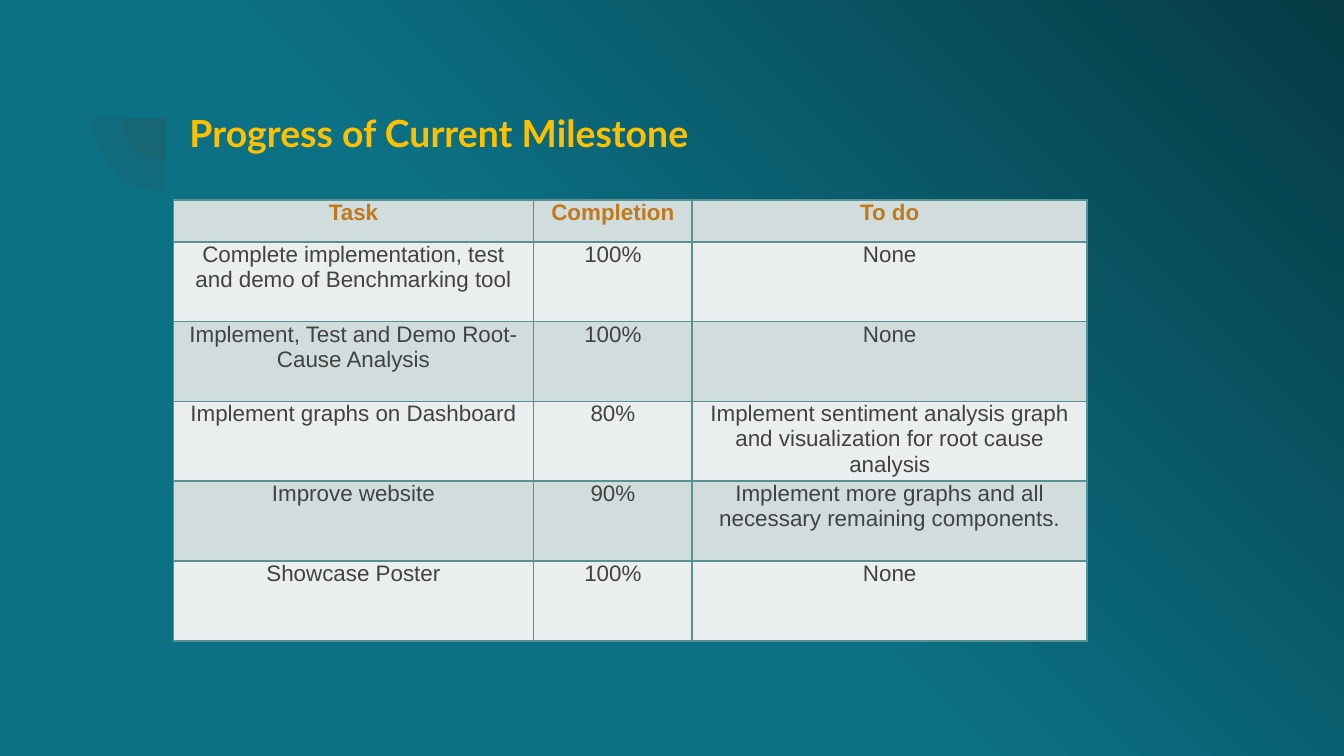
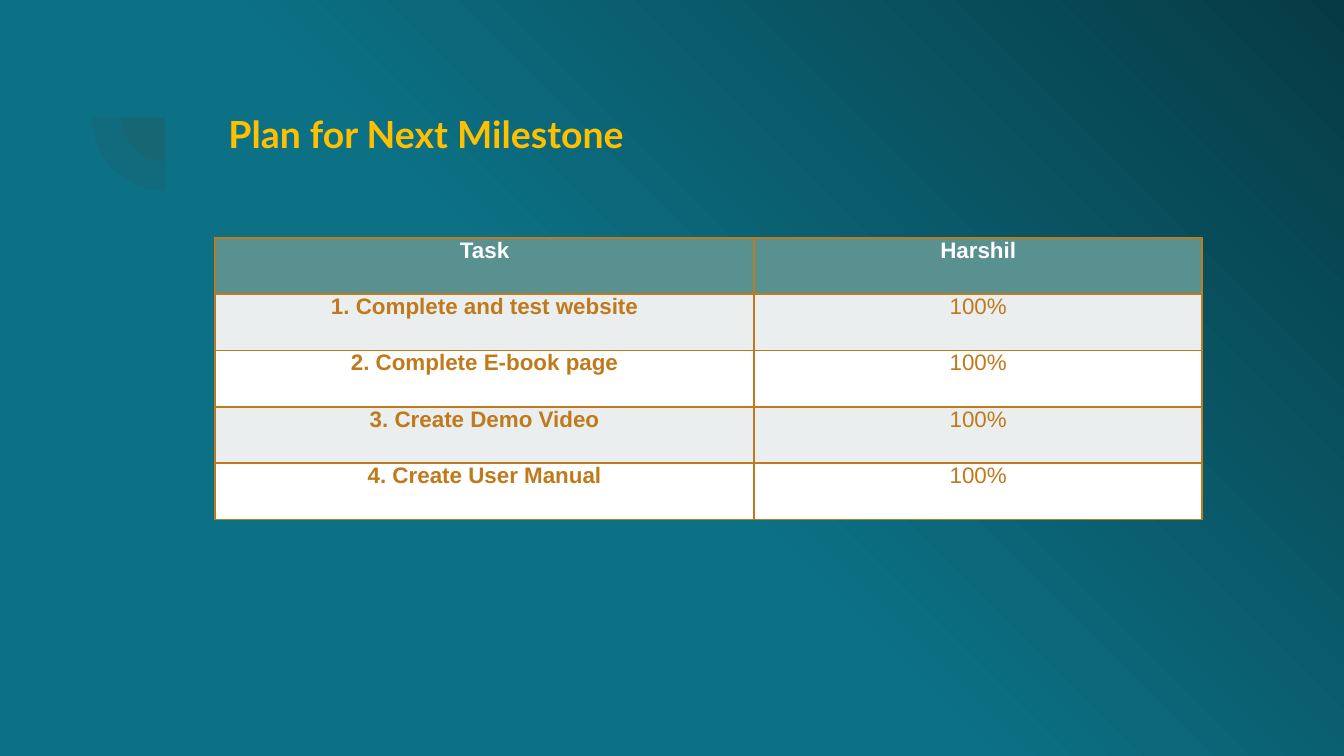
from dataclasses import dataclass

from lxml import etree
from pptx import Presentation
from pptx.dml.color import RGBColor
from pptx.enum.shapes import MSO_SHAPE
from pptx.enum.text import MSO_ANCHOR, MSO_AUTO_SIZE, PP_ALIGN
from pptx.oxml.ns import qn
from pptx.util import Pt

PIE = MSO_SHAPE.PIE
TOP = MSO_ANCHOR.TOP
NO_AUTOFIT = MSO_AUTO_SIZE.NONE
LEFT, CENTER = PP_ALIGN.LEFT, PP_ALIGN.CENTER

TEAL, DEEP_TEAL = "0C7185", "063B45"
GOLD, OCHRE, CHARCOAL, WHITE = "FFC000", "C0791B", "424242", "FFFFFF"
SAGE, MIST, PALE = "599191", "D1DCDC", "EAEEEE"
TITLE_FONT, TABLE_FONT = "Lato", "Arial"
TITLE_ONLY = 5
CORNER_CENTER = (88.6, 63)
CORNER_DIAMETERS = (46.8, 78.5)


@dataclass(frozen=True)
class TitleBox:
    text: str
    left: float
    top: float
    width: float
    height: float
    inset: float


@dataclass(frozen=True)
class TaskTable:
    left: float
    top: float
    columns: tuple[float, ...]
    header_height: float
    row_height: float
    header_fill: str
    header_color: str
    bands: tuple[str, str]
    body_color: str
    border: str
    bold_tasks: bool
    rows: tuple[tuple[str, ...], ...]


@dataclass(frozen=True)
class Milestone:
    title: TitleBox
    tasks: TaskTable


MILESTONES = (
    Milestone(
        TitleBox("Progress of Current Milestone", 94.3, 51.8, 553.7, 53.3, 7.2),
        TaskTable(
            92.9, 107.2, (193, 85, 211.6), 22.4, 42.75,
            MIST, OCHRE, (PALE, MIST), CHARCOAL, SAGE, False,
            (
                ("Task", "Completion", "To do"),
                ("Complete implementation, test and demo of Benchmarking tool",
                 "100%", "None"),
                ("Implement, Test and Demo Root-Cause Analysis", "100%", "None"),
                ("Implement graphs on Dashboard", "80%",
                 "Implement sentiment analysis graph and visualization "
                 "for root cause analysis"),
                ("Improve website", "90%",
                 "Implement more graphs and all necessary remaining components."),
                ("Showcase Poster", "100%", "None"),
            ),
        ),
    ),
    Milestone(
        TitleBox("Plan for Next Milestone", 115.2, 56.2, 336.2, 31.7, 3.6),
        TaskTable(
            115.2, 127.4, (288.9, 240), 30.2, 30.2,
            SAGE, WHITE, (PALE, WHITE), OCHRE, OCHRE, True,
            (
                ("Task", "Harshil"),
                ("1. Complete and test website", "100%"),
                ("2. Complete E-book page", "100%"),
                ("3. Create Demo Video", "100%"),
                ("4. Create User Manual", "100%"),
            ),
        ),
    ),
)


def rgb(color: str) -> RGBColor:
    return RGBColor.from_string(color)


def add_color(parent, color: str, alpha: int = 100) -> None:
    """Append a colour, with its opacity in percent, to an XML element."""
    srgb = etree.SubElement(parent, qn("a:srgbClr"), val=color)
    if alpha < 100:
        etree.SubElement(srgb, qn("a:alpha"), val=str(alpha * 1000))


def add_run(paragraph, text: str, font: str, size: float, color: str,
            bold: bool) -> None:
    run = paragraph.add_run()
    run.text = text
    run.font.name = font
    run.font.size = Pt(size)
    run.font.bold = bold
    run.font.color.rgb = rgb(color)


# Shared look: glow from the lower left, and the corner quarter discs
def set_background(master) -> None:
    master.background.fill.gradient()
    gradient = master.element.find(".//" + qn("a:gradFill"))
    for child in list(gradient):
        gradient.remove(child)
    stops = etree.SubElement(gradient, qn("a:gsLst"))
    for position, color, alpha in ((0, TEAL, 85), (46, TEAL, 100),
                                   (100, DEEP_TEAL, 100)):
        stop = etree.SubElement(stops, qn("a:gs"), pos=str(position * 1000))
        add_color(stop, color, alpha)
    radial = etree.SubElement(gradient, qn("a:path"))
    radial.set("path", "circle")
    etree.SubElement(radial, qn("a:fillToRect"), t="100000", r="100000")


def add_corner(slide) -> None:
    center_x, center_y = CORNER_CENTER
    for diameter in CORNER_DIAMETERS:
        disc = slide.shapes.add_shape(
            PIE, Pt(center_x - diameter / 2), Pt(center_y - diameter / 2),
            Pt(diameter), Pt(diameter))
        disc.adjustments[0], disc.adjustments[1] = 108, 162
        disc.rotation = 270
        disc.shadow.inherit = False
        disc.line.fill.background()
        disc.fill.solid()
        disc.fill.fore_color.rgb = rgb(CHARCOAL)
        solid = disc.fill._xPr.find(qn("a:solidFill"))
        solid.remove(solid[0])
        add_color(solid, CHARCOAL, 12)


def set_title(slide, box: TitleBox) -> None:
    title = slide.shapes.title
    title.left, title.top = Pt(box.left), Pt(box.top)
    title.width, title.height = Pt(box.width), Pt(box.height)
    frame = title.text_frame
    frame.auto_size = NO_AUTOFIT
    frame.word_wrap = True
    frame.vertical_anchor = TOP
    frame.margin_left = frame.margin_right = Pt(7.2)
    frame.margin_top = frame.margin_bottom = Pt(box.inset)
    paragraph = frame.paragraphs[0]
    paragraph.alignment = LEFT
    add_run(paragraph, box.text, TITLE_FONT, 20, GOLD, True)


# Task tables
def set_borders(cell, color: str) -> None:
    properties = cell._tc.get_or_add_tcPr()
    for index, side in enumerate(("lnL", "lnR", "lnT", "lnB")):
        line = etree.Element(qn(f"a:{side}"), w=str(Pt(1)))
        add_color(etree.SubElement(line, qn("a:solidFill")), color)
        properties.insert(index, line)


def add_tasks(slide, tasks: TaskTable) -> None:
    heights = [tasks.header_height] + [tasks.row_height] * (len(tasks.rows) - 1)
    table = slide.shapes.add_table(
        len(heights), len(tasks.columns), Pt(tasks.left), Pt(tasks.top),
        Pt(sum(tasks.columns)), Pt(sum(heights))).table
    table.horz_banding = False
    for column, width in zip(table.columns, tasks.columns):
        column.width = Pt(width)
    for row_index, texts in enumerate(tasks.rows):
        table.rows[row_index].height = Pt(heights[row_index])
        header = row_index == 0
        fill = tasks.header_fill if header else tasks.bands[(row_index - 1) % 2]
        color = tasks.header_color if header else tasks.body_color
        for column_index, text in enumerate(texts):
            cell = table.cell(row_index, column_index)
            cell.fill.solid()
            cell.fill.fore_color.rgb = rgb(fill)
            cell.margin_left = cell.margin_right = Pt(5)
            cell.margin_top = cell.margin_bottom = Pt(0)
            set_borders(cell, tasks.border)
            paragraph = cell.text_frame.paragraphs[0]
            paragraph.alignment = CENTER
            bold = header or (tasks.bold_tasks and column_index == 0)
            add_run(paragraph, text, TABLE_FONT, 12, color, bold)


def main() -> None:
    deck = Presentation()
    deck.slide_width, deck.slide_height = Pt(720), Pt(405)
    set_background(deck.slide_master)
    for milestone in MILESTONES:
        slide = deck.slides.add_slide(deck.slide_layouts[TITLE_ONLY])
        add_corner(slide)
        set_title(slide, milestone.title)
        add_tasks(slide, milestone.tasks)
    deck.save("out.pptx")


if __name__ == "__main__":
    main()
